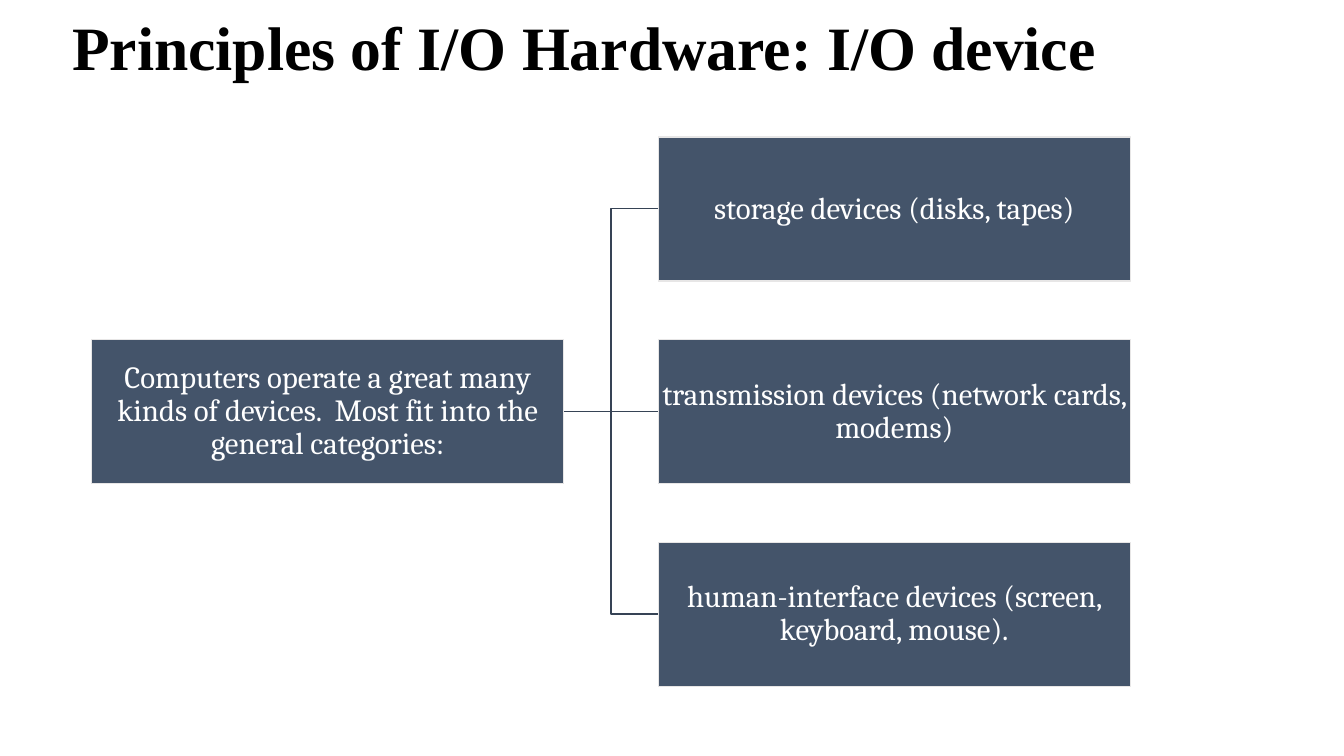
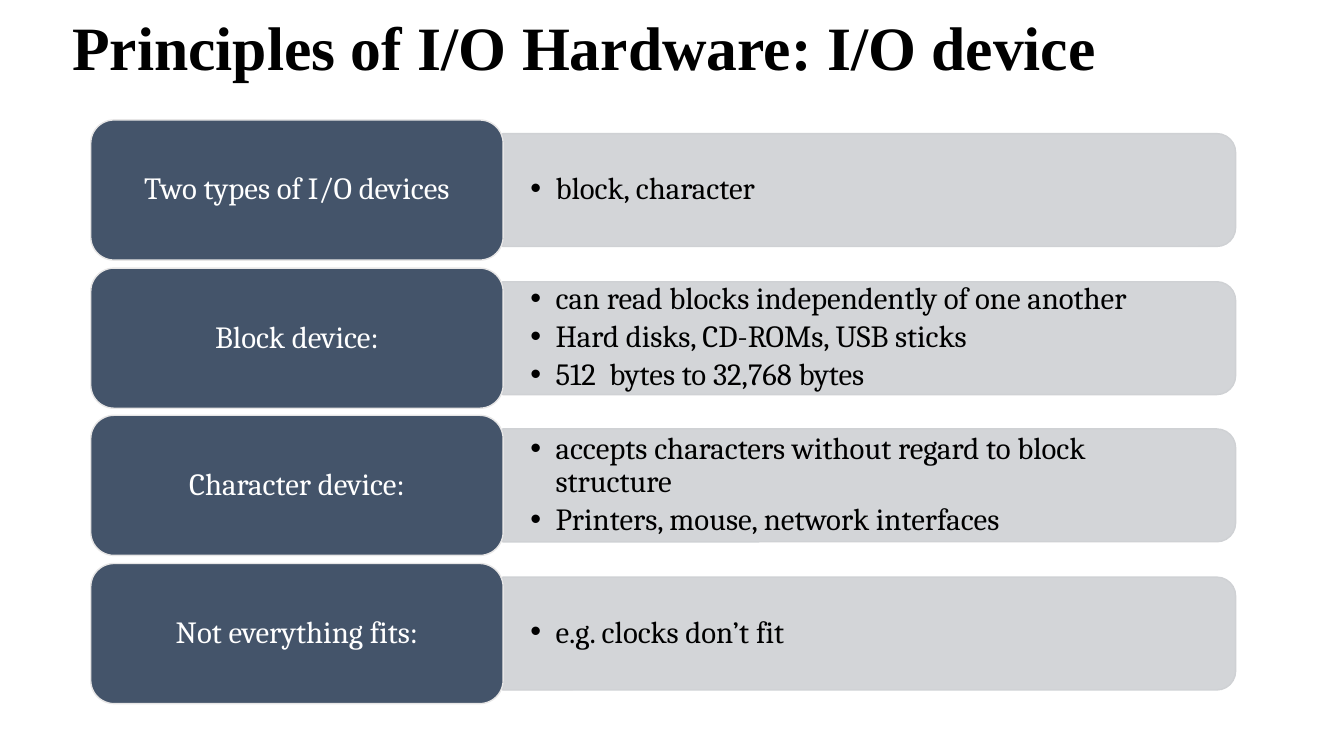
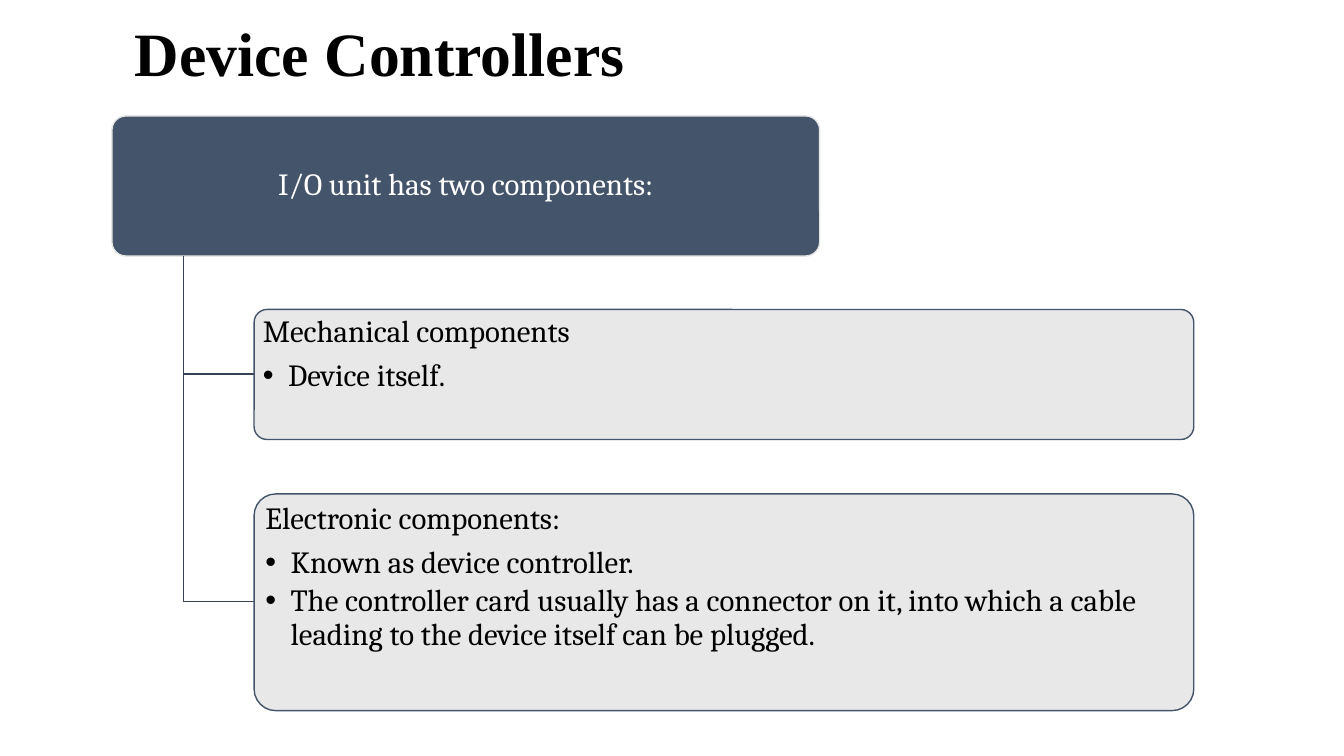
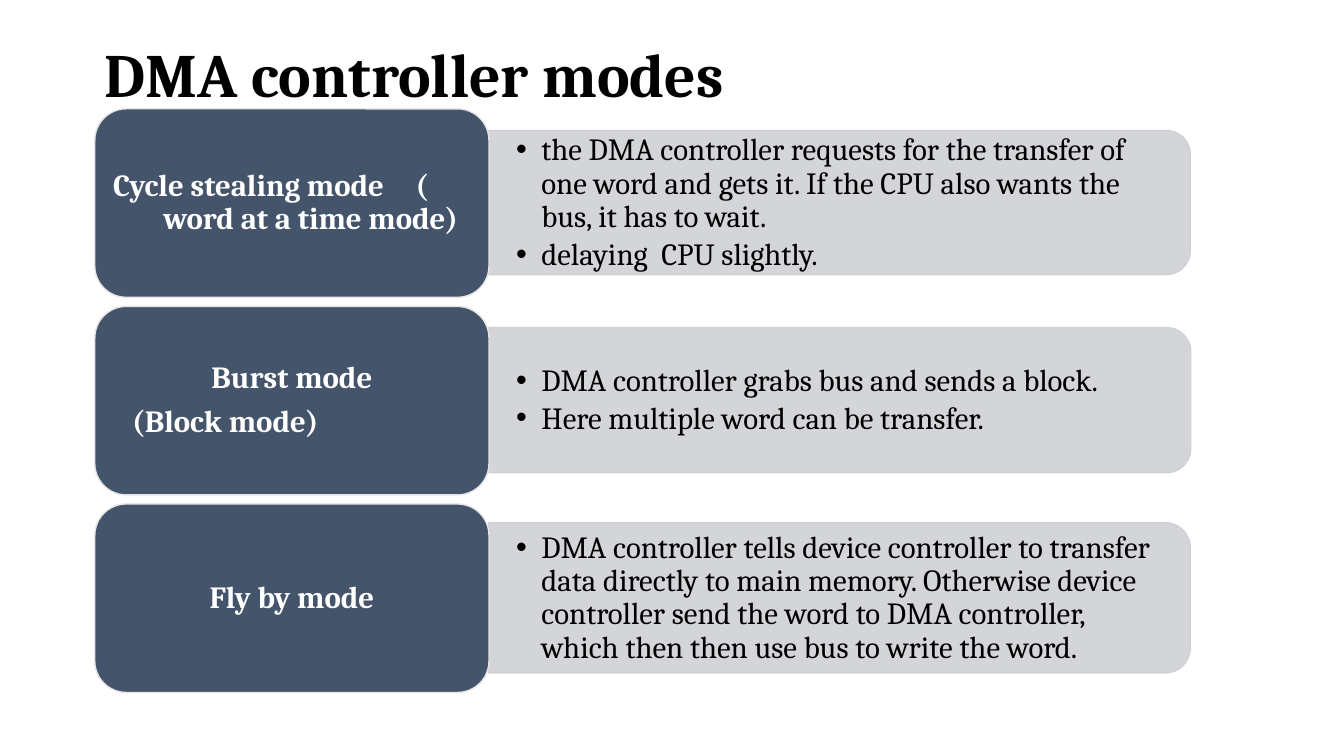
from lxml import etree
from pptx import Presentation
from pptx import util as u
from pptx.dml.color import RGBColor
from pptx.enum import shapes, text
from pptx.oxml.ns import qn

PIXEL = 9144
SLATE = RGBColor(0x44, 0x54, 0x6A)
DARK_SLATE = RGBColor(0x36, 0x43, 0x55)
PANEL_GRAY = RGBColor(0xCF, 0xD1, 0xD4)
LIGHT_GRAY = RGBColor(0xE7, 0xE6, 0xE6)
BLACK = RGBColor(0, 0, 0)
WHITE = RGBColor(0xFF, 0xFF, 0xFF)
BODY_FONT = "Cambria"
TITLE_FONT = "Times New Roman"
RECTANGLE = shapes.MSO_SHAPE.RECTANGLE
ROUNDED = shapes.MSO_SHAPE.ROUNDED_RECTANGLE
HALF_ROUNDED = shapes.MSO_SHAPE.ROUND_2_SAME_RECTANGLE
LEFT, CENTER = text.PP_ALIGN.LEFT, text.PP_ALIGN.CENTER
TOP, MIDDLE = text.MSO_ANCHOR.TOP, text.MSO_ANCHOR.MIDDLE

STYLES = {
    "title": (LEFT, 0, 0, ()),
    "center": (CENTER, 7.7, 0, ()),
    "heading": (LEFT, 7.7, 0, ()),
    "bullet": (LEFT, 3.3, 25, ()),
    "inset": (LEFT, 7.7, 19, ()),
    "tabbed": (LEFT, 7.7, 0, (31, 341)),
}


def draw_shape(slide, kind, frame, fill, outline, opacity=100):
    shape = slide.shapes.add_shape(kind, *[value * PIXEL for value in frame])
    shape.shadow.inherit = False
    shape.fill.solid()
    shape.fill.fore_color.rgb = fill
    shape.line.color.rgb = outline
    shape.line.width = u.Pt(1)
    if opacity < 100:
        color = shape.fill._xPr.find(qn("a:solidFill")).find(qn("a:srgbClr"))
        etree.SubElement(color, qn("a:alpha"), val=str(opacity * 1000))
    return shape


def write(shape, paragraphs, color, insets, anchor=MIDDLE, size=22, font=BODY_FONT, bold=False):
    frame = shape.text_frame
    frame.word_wrap = True
    frame.vertical_anchor = anchor
    frame.margin_left = frame.margin_right = insets[0] * PIXEL
    frame.margin_top = frame.margin_bottom = insets[1] * PIXEL
    for index, (style, content) in enumerate(paragraphs):
        alignment, space_after, margin, tabs = STYLES[style]
        paragraph = frame.add_paragraph() if index else frame.paragraphs[0]
        paragraph.alignment = alignment
        paragraph.line_spacing = 0.9
        paragraph.space_after = u.Pt(space_after)
        properties = paragraph._p.get_or_add_pPr()
        properties.set("marL", str(margin * PIXEL))
        properties.set("indent", "0")
        if style == "bullet":
            properties.set("indent", str(-margin * PIXEL))
            etree.SubElement(properties, qn("a:buFont"), typeface="Arial")
            etree.SubElement(properties, qn("a:buChar"), char="•")
        if tabs:
            tab_list = etree.SubElement(properties, qn("a:tabLst"))
            for position in tabs:
                etree.SubElement(tab_list, qn("a:tab"), pos=str(position * PIXEL), algn="l")
        for line_index, line in enumerate(content.split("\n")):
            if line_index:
                paragraph.add_line_break()
            run = paragraph.add_run()
            run.text = line
            run.font.size = u.Pt(size)
            run.font.name = font
            run.font.bold = bold
            run.font.color.rgb = color


presentation = Presentation()
presentation.slide_width = 1333 * PIXEL
presentation.slide_height = 750 * PIXEL

TITLES = [
    ("Principles of I/O Hardware: I/O device", (62, 21, 1193, 59), TITLE_FONT),
    ("Principles of I/O Hardware: I/O device", (62, 21, 1193, 59), TITLE_FONT),
    ("Device Controllers", (124, 17, 733, 79), TITLE_FONT),
    ("DMA controller modes", (94, 30, 856, 93), BODY_FONT),
]
slides = []
for title, frame, font in TITLES:
    slide = presentation.slides.add_slide(presentation.slide_layouts[6])
    box = slide.shapes.add_textbox(*[value * PIXEL for value in frame])
    write(box, [("title", title)], BLACK, (10, 5), size=44, font=font, bold=True)
    slides.append(slide)
category_slide, type_slide, component_slide, mode_slide = slides

BOX_WIDTH, BOX_HEIGHT = 468, 143
ROOT_LEFT, BRANCH_LEFT = 91, 653
BRANCH_TOPS = [136 + 201 * row for row in range(3)]
ROOT_TOP = BRANCH_TOPS[1]
for top in BRANCH_TOPS:
    kind = shapes.MSO_CONNECTOR.STRAIGHT if top == ROOT_TOP else shapes.MSO_CONNECTOR.ELBOW
    ends = (ROOT_LEFT + BOX_WIDTH, ROOT_TOP + BOX_HEIGHT // 2, BRANCH_LEFT, top + BOX_HEIGHT // 2)
    connector = category_slide.shapes.add_connector(kind, *[value * PIXEL for value in ends])
    connector.line.color.rgb = DARK_SLATE
    connector.line.width = u.Pt(1)
    etree.SubElement(connector._element.spPr, qn("a:effectLst"))

CATEGORIES = [
    (ROOT_LEFT, ROOT_TOP, "Computers operate a great many kinds of devices.  Most fit into the general categories:"),
    (BRANCH_LEFT, BRANCH_TOPS[0], "storage devices (disks, tapes)"),
    (BRANCH_LEFT, BRANCH_TOPS[1], "transmission devices (network cards, modems)"),
    (BRANCH_LEFT, BRANCH_TOPS[2], "human-interface devices (screen, keyboard, mouse)."),
]
for left, top, label in CATEGORIES:
    box = draw_shape(category_slide, RECTANGLE, (left, top, BOX_WIDTH, BOX_HEIGHT), SLATE, LIGHT_GRAY)
    write(box, [("center", label)], WHITE, (2, 2))

DEVICE_TYPES = [
    ([("center", "Two types of I/O devices")], 112, ["block, character"]),
    ([("center", "Block device:")], 112, [
        "can read blocks independently of one another",
        "Hard disks, CD-ROMs, USB sticks",
        "512  bytes to 32,768 bytes",
    ]),
    ([("center", "Character device:")], 112, [
        "accepts characters without regard to block structure",
        "Printers, mouse, network interfaces",
    ]),
    ([("center", "Not everything fits:")], 112, ["e.g. clocks don’t fit"]),
]
DMA_MODES = [
    ([("tabbed", "Cycle stealing mode\t(\n\tword at a time mode)")], 143, [
        "the DMA controller requests for the transfer of one word and gets it. "
        "If the CPU also wants the bus, it has to wait.",
        "delaying  CPU slightly.",
    ]),
    ([("center", "Burst mode"), ("inset", "(Block mode)")], 144, [
        "DMA controller grabs bus and sends a block.",
        "Here multiple word can be transfer.",
    ]),
    ([("center", "Fly by mode")], 149, [
        "DMA controller tells device controller to transfer data directly to main memory. "
        "Otherwise device controller send the word to DMA controller, "
        "which then then use bus to write the word.",
    ]),
]
CARD_LISTS = [
    (type_slide, DEVICE_TYPES, (90, 119, 409, 139), 440 / 3, 727, False),
    (mode_slide, DMA_MODES, (94, 108, 391, 187), 196, 696, True),
]
for slide, rows, (left, first_top, width, height), step, panel_width, bold in CARD_LISTS:
    panel_left = left + width
    for row, (labels, panel_height, bullets) in enumerate(rows):
        top = round(first_top + row * step)
        middle = top + height // 2
        upright = (panel_left + (panel_width - panel_height) // 2, middle - panel_width // 2,
                   panel_height, panel_width)
        panel = draw_shape(slide, HALF_ROUNDED, upright, PANEL_GRAY, PANEL_GRAY, 90)
        panel.rotation = 90
        frame = (panel_left, middle - panel_height // 2, panel_width - 6, panel_height)
        box = slide.shapes.add_textbox(*[value * PIXEL for value in frame])
        write(box, [("bullet", bullet) for bullet in bullets], BLACK, (27, 14))
        card = draw_shape(slide, ROUNDED, (left, top, width, height), SLATE, LIGHT_GRAY)
        write(card, labels, WHITE, (9, 5), bold=bold)

header = draw_shape(component_slide, ROUNDED, (111, 115, 702, 139), SLATE, LIGHT_GRAY)
header.adjustments[0] = 0.1
write(header, [("center", "I/O unit has two components:")], WHITE, (5, 3))

TRUNK_LEFT, TRUNK_TOP, COMPONENT_LEFT = 182, 254, 252
COMPONENTS = [
    (307, 129, [("heading", "Mechanical components"), ("bullet", "Device itself.")]),
    (490, 215, [
        ("heading", "Electronic components:"),
        ("bullet", "Known as device controller."),
        ("bullet", "The controller card usually has a connector on it, into which a cable "
                   "leading to the device itself can be plugged."),
    ]),
]
for top, height, paragraphs in COMPONENTS:
    middle = top + height // 2
    builder = component_slide.shapes.build_freeform(TRUNK_LEFT, TRUNK_TOP, scale=PIXEL)
    builder.add_line_segments([(TRUNK_LEFT, middle), (COMPONENT_LEFT, middle)], close=False)
    branch = builder.convert_to_shape()
    branch.shadow.inherit = False
    branch.fill.background()
    branch.line.color.rgb = DARK_SLATE
    branch.line.width = u.Pt(1)
    box = draw_shape(component_slide, ROUNDED, (COMPONENT_LEFT, top, 932, height), LIGHT_GRAY, SLATE, 90)
    box.adjustments[0] = 0.1
    write(box, paragraphs, BLACK, (5, 3), anchor=TOP)

presentation.save("out.pptx")
